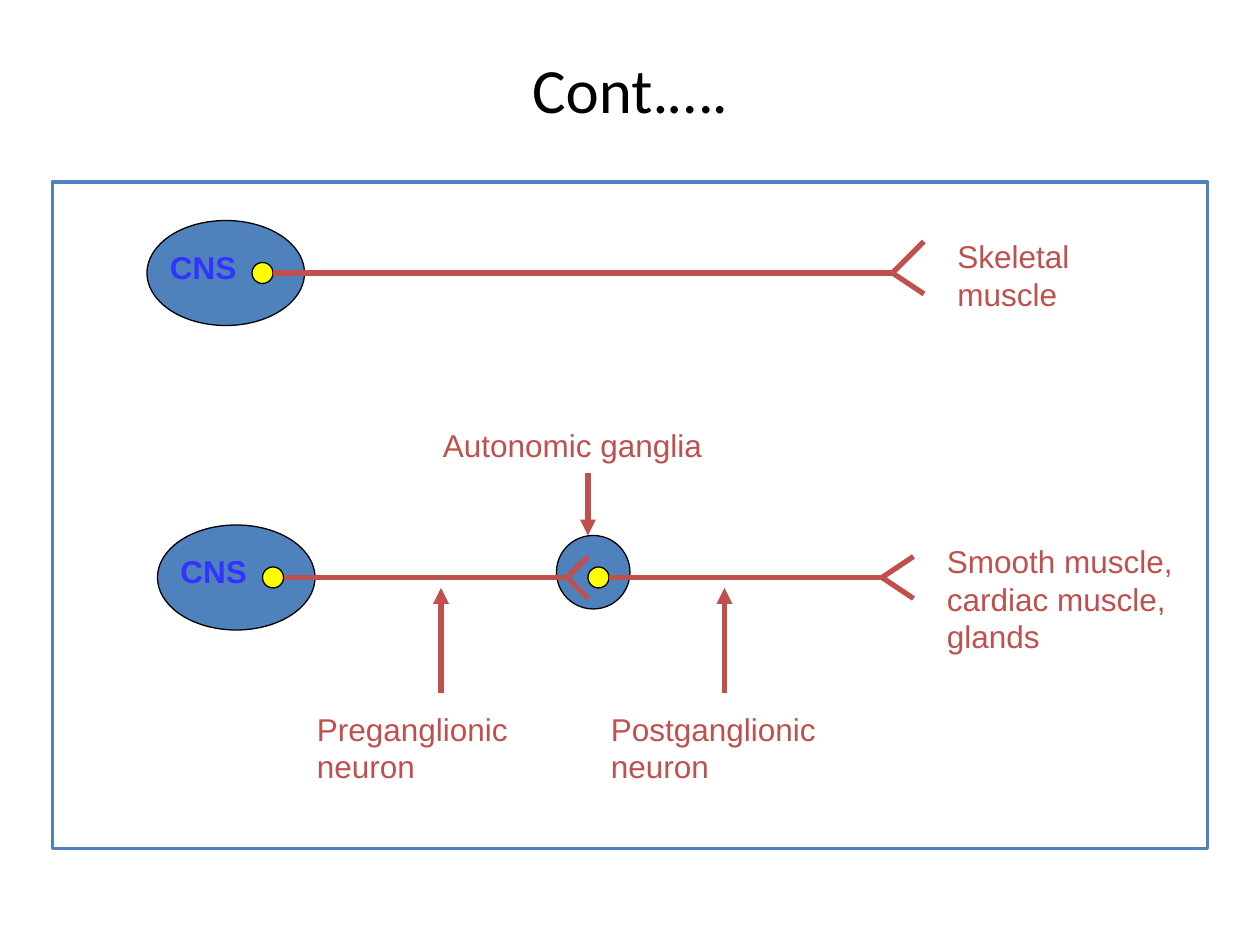
from lxml import etree
from pptx import Presentation
from pptx.dml.color import RGBColor
from pptx.enum.shapes import MSO_CONNECTOR, MSO_SHAPE
from pptx.enum.text import MSO_ANCHOR, PP_ALIGN
from pptx.oxml.ns import qn
from pptx.util import Pt

STRAIGHT = MSO_CONNECTOR.STRAIGHT
OVAL = MSO_SHAPE.OVAL
RECTANGLE = MSO_SHAPE.RECTANGLE
MIDDLE = MSO_ANCHOR.MIDDLE
CENTER = PP_ALIGN.CENTER

BLACK = RGBColor(0x00, 0x00, 0x00)
WHITE = RGBColor(0xFF, 0xFF, 0xFF)
BLUE = RGBColor(0x4F, 0x81, 0xBD)
YELLOW = RGBColor(0xFF, 0xFF, 0x00)
RED = RGBColor(0xC0, 0x50, 0x4D)
CNS_BLUE = RGBColor(0x33, 0x33, 0xFF)

prs = Presentation()
prs.slide_width = Pt(720)
prs.slide_height = Pt(540)
s = prs.slides.add_slide(prs.slide_layouts[5])

title = s.shapes.title
title.left, title.top, title.width, title.height = Pt(18), Pt(11), Pt(684), Pt(90)
tf = title.text_frame
tf.vertical_anchor = MIDDLE
p = tf.paragraphs[0]
p.alignment = CENTER
p.line_spacing = 0.7
r = p.add_run()
r.text = "Cont.…."
r.font.name = "Calibri"
r.font.size = Pt(36)
r.font.color.rgb = BLACK

shapes = [
    (RECTANGLE, 30, 104, 660, 381, WHITE, BLUE, 2),
    (OVAL, 84, 126, 90, 60, BLUE, BLACK, 0.75),
    (OVAL, 90, 300, 90, 60, BLUE, BLACK, 0.75),
    (OVAL, 318, 306, 42, 42, BLUE, BLACK, 0.75),
    (OVAL, 144, 150, 12, 12, YELLOW, BLACK, 0.75),
    (OVAL, 150, 324, 12, 12, YELLOW, BLACK, 0.75),
    (OVAL, 336, 324, 12, 12, YELLOW, BLACK, 0.75),
]
for kind, x, y, w, h, fill, outline, weight in shapes:
    sp = s.shapes.add_shape(kind, Pt(x), Pt(y), Pt(w), Pt(h))
    sp.shadow.inherit = False
    sp.fill.solid()
    sp.fill.fore_color.rgb = fill
    sp.line.color.rgb = outline
    sp.line.width = Pt(weight)


def add_line(x1, y1, x2, y2, arrow=False):
    line = s.shapes.add_connector(STRAIGHT, Pt(x1), Pt(y1), Pt(x2), Pt(y2))
    line.line.color.rgb = RED
    line.line.width = Pt(3)
    if arrow:
        etree.SubElement(line.line._get_or_add_ln(), qn("a:tailEnd"), type="triangle")
    etree.SubElement(line._element.spPr, qn("a:effectLst"))


neurons = [
    (156, 510, 156, 18, 18, 12),
    (162, 324, 330, 12, 12, 12),
    (348, 504, 330, 18, 12, 12),
]
for start, end, y, fork, rise, drop in neurons:
    add_line(start, y, end, y)
    add_line(end, y, end + fork, y - rise)
    add_line(end, y, end + fork, y + drop)

for x, start, end in [(252, 396, 336), (414, 396, 336), (336, 270, 306)]:
    add_line(x, start, x, end, arrow=True)

labels = [
    ("Autonomic ganglia", 246, 240, 192, 29, RED, False),
    ("Skeletal muscle", 540, 132, 84, 50, RED, False),
    ("Smooth muscle, cardiac muscle, glands", 534, 306, 156, 104, RED, False),
    ("Preganglionic neuron", 174, 402, 168, 50, RED, False),
    ("Postganglionic neuron", 342, 402, 168, 50, RED, False),
    ("CNS", 90, 138, 72, 29, CNS_BLUE, True),
    ("CNS", 96, 312, 72, 29, CNS_BLUE, True),
]
for text, x, y, w, h, color, bold in labels:
    tf = s.shapes.add_textbox(Pt(x), Pt(y), Pt(w), Pt(h)).text_frame
    tf.word_wrap = True
    r = tf.paragraphs[0].add_run()
    r.text = text
    r.font.name = "Arial"
    r.font.size = Pt(18)
    r.font.bold = bold
    r.font.color.rgb = color

prs.save("out.pptx")
